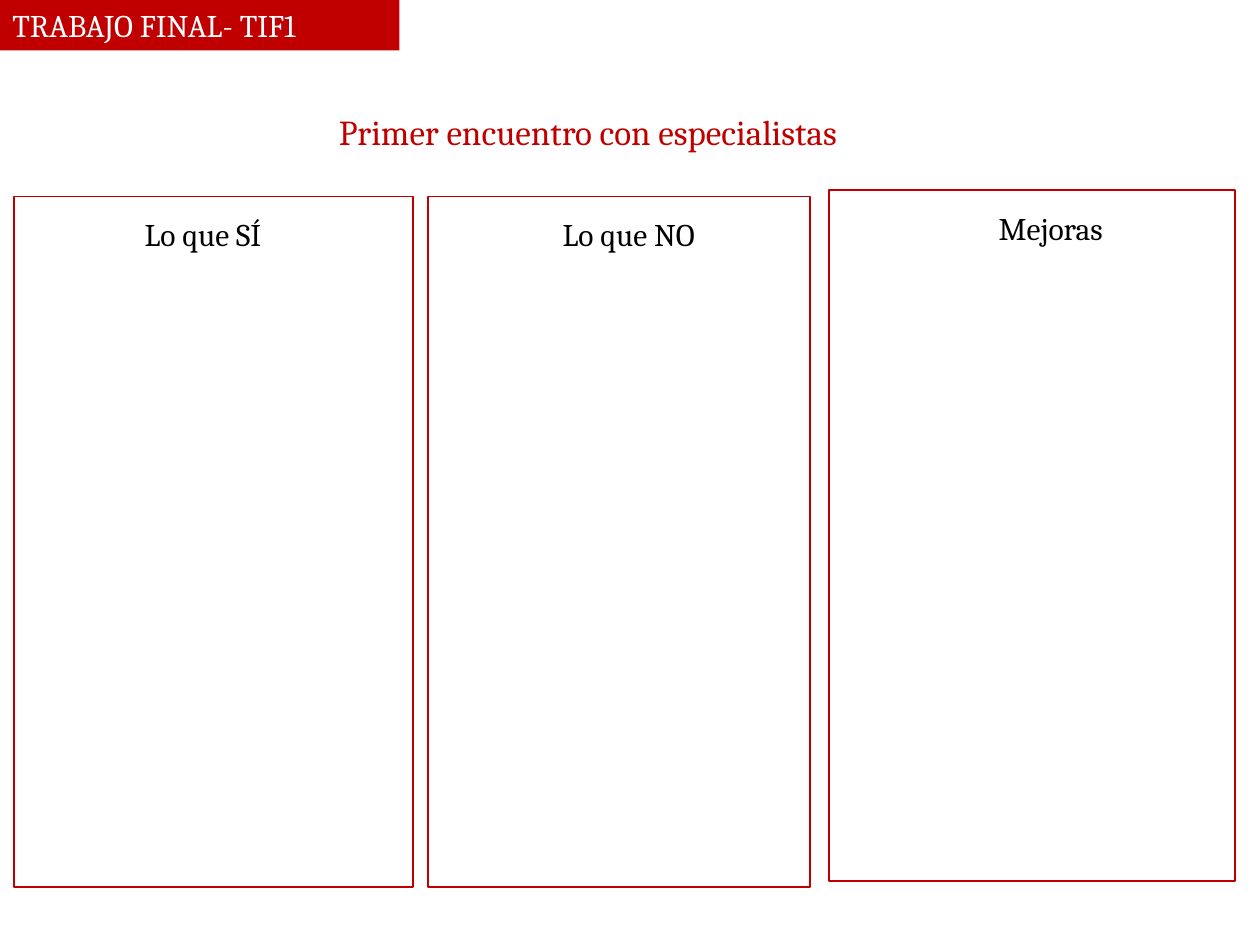
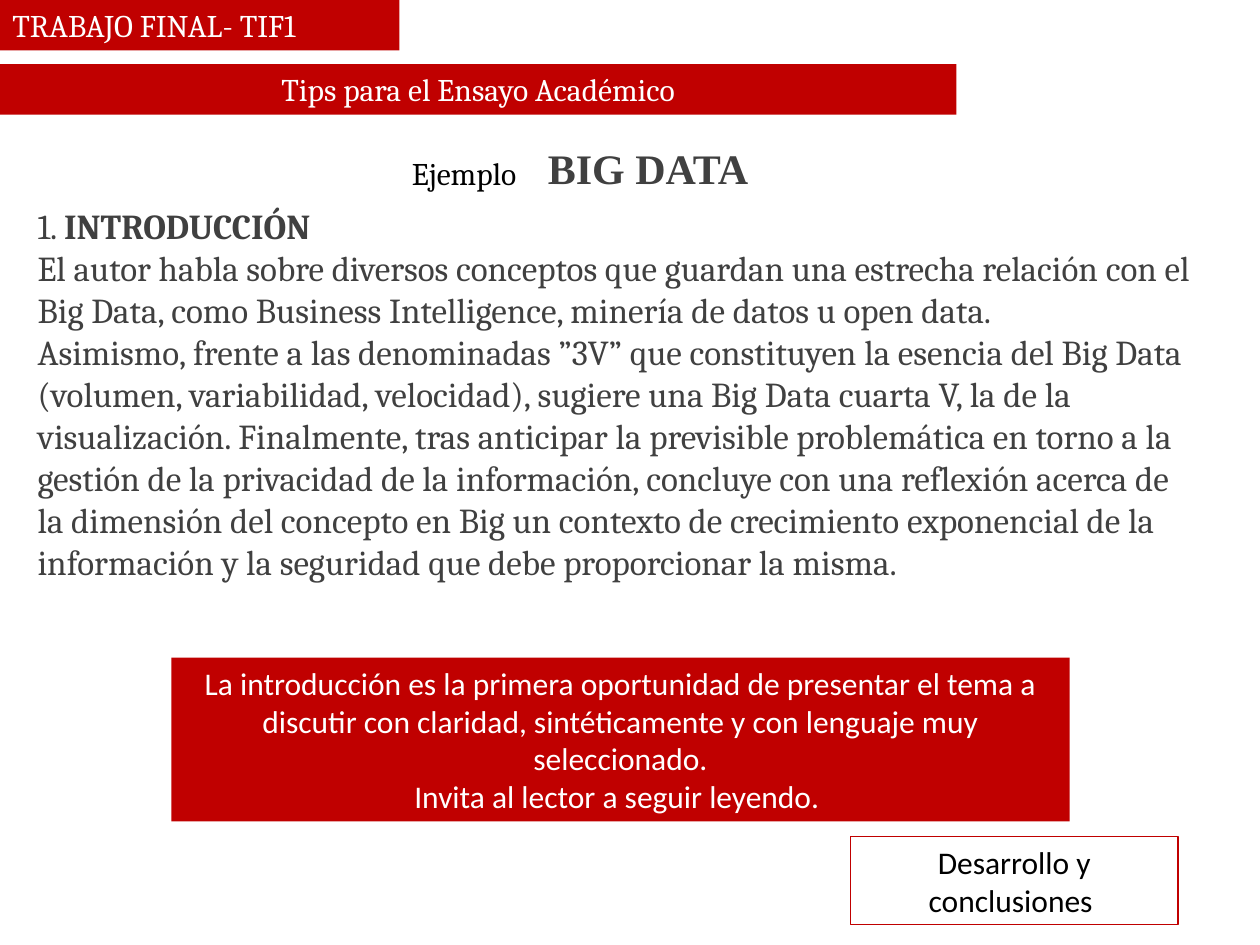
from dataclasses import dataclass

from pptx import Presentation
from pptx import util as u
from pptx.dml.color import RGBColor
from pptx.enum import shapes, text

RED = RGBColor(0xC0, 0x00, 0x00)
WHITE = RGBColor(0xFF, 0xFF, 0xFF)
BLACK = RGBColor(0x00, 0x00, 0x00)
GRAY = RGBColor(0x40, 0x40, 0x40)
SERIF, SANS, TIMES = "Cambria", "Calibri", "Times New Roman"
LEFT, CENTER = text.PP_ALIGN.LEFT, text.PP_ALIGN.CENTER
SLIDE_WIDTH, SLIDE_HEIGHT = u.Inches(10), u.Inches(7.5)
COLUMNS, ROWS = 100, 75
BAND_ROWS = 4


@dataclass
class Box:
    """A rectangle measured in grid columns and rows."""
    left: float
    top: float
    width: float
    height: float

    def inner(self, left, top, width, height):
        """Return a box whose corner is offset from this one."""
        return Box(self.left + left, self.top + top, width, height)

    def lengths(self):
        """Return left, top, width and height as slide lengths."""
        column, row = SLIDE_WIDTH / COLUMNS, SLIDE_HEIGHT / ROWS
        return (round(self.left * column), round(self.top * row),
                round(self.width * column), round(self.height * row))


PAGE = Box(0, 0, COLUMNS, ROWS)


def write(shape, paragraphs, color, font=SERIF, size=18, align=LEFT):
    """Fill a shape with paragraphs of (text, bold) runs; a newline breaks the line."""
    frame = shape.text_frame
    frame.word_wrap = True
    frame.vertical_anchor = text.MSO_ANCHOR.TOP
    for index, runs in enumerate(paragraphs):
        paragraph = frame.add_paragraph() if index else frame.paragraphs[0]
        paragraph.alignment = align
        for words, bold in runs:
            for number, line in enumerate(words.split("\n")):
                if number:
                    paragraph.add_line_break()
                if line:
                    run = paragraph.add_run()
                    run.text = line
                    run.font.name, run.font.size = font, u.Pt(size)
                    run.font.bold, run.font.color.rgb = bold, color


def add_label(slide, box, words, color=BLACK, bold=False, **style):
    """Add a text box holding one paragraph."""
    write(slide.shapes.add_textbox(*box.lengths()), [[(words, bold)]], color, **style)


def add_rectangle(slide, box, fill=None, line_width=None):
    """Add a rectangle, either filled or with a red outline."""
    shape = slide.shapes.add_shape(shapes.MSO_SHAPE.RECTANGLE, *box.lengths())
    shape.shadow.inherit = False
    if fill is None:
        shape.fill.background()
    else:
        shape.fill.solid()
        shape.fill.fore_color.rgb = fill
    if line_width is None:
        shape.line.fill.background()
    else:
        shape.line.color.rgb = RED
        shape.line.width = u.Pt(line_width)
    return shape


def add_band(slide, box, words, align=LEFT):
    """Add a red band with a white heading."""
    write(add_rectangle(slide, box, RED), [[(words, False)]], WHITE, align=align)


def add_slide(presentation):
    """Add a blank slide with the course band."""
    slide = presentation.slides.add_slide(presentation.slide_layouts[6])
    add_band(slide, PAGE.inner(0, 0, 31.7, BAND_ROWS), "TRABAJO FINAL- TIF1")
    return slide


def add_feedback_column(slide, box, heading, heading_left, heading_width):
    """Add an outlined empty column with its heading near the top."""
    add_label(slide, box.inner(heading_left, 1, heading_width, BAND_ROWS), heading,
              align=CENTER)
    add_rectangle(slide, box, line_width=1)


def build_meeting_slide(presentation, page):
    """Build the slide on the first meeting with specialists."""
    slide = add_slide(presentation)
    add_label(slide, page.inner(25.9, 8.3, 52.9, 7.7), "Primer encuentro con especialistas",
              RED, size=20)
    columns = [
        (1.1, 15.6, 31.7, "Lo que SÍ", -1.7, 33.4),
        (34, 15.6, 30.3, "Lo que NO", -0.8, 33.4),
        (65.8, 15.1, 32.2, "Mejoras", 7.8, 19.6),
    ]
    for left, top, width, *heading in columns:
        add_feedback_column(slide, page.inner(left, top, width, 54.8), *heading)


def add_example(slide, box):
    """Add the example's title line and its introduction."""
    add_label(slide, box.inner(29.7, 0.9, 31.3, BAND_ROWS), "Ejemplo")
    introduction = [
        ("1. ", False),
        ("INTRODUCCIÓN\n", True),
        ("El autor habla sobre diversos conceptos que guardan una estrecha relación con el "
         "Big Data, como Business Intelligence, minería de datos u open data.\n"
         "Asimismo, frente a las denominadas ”3V” que constituyen la esencia del Big Data "
         "(volumen, variabilidad, velocidad), sugiere una Big Data cuarta V, la de la "
         "visualización. Finalmente, tras anticipar la previsible problemática en torno a la "
         "gestión de la privacidad de la información, concluye con una reflexión acerca de "
         "la dimensión del concepto en Big un contexto de crecimiento exponencial de la "
         "información y la seguridad que debe proporcionar la misma.", False),
    ]
    body = slide.shapes.add_textbox(*box.inner(0, 4.9, box.width, 41).lengths())
    write(body, [introduction], GRAY, size=20)
    add_label(slide, box.inner(40.5, 0, 50, 8), "BIG DATA", GRAY, bold=True,
              font=TIMES, size=24)


def add_advice(slide, box):
    """Add the red advice panel and the outlined pointer to the next parts."""
    advice = [
        [("La introducción es la primera oportunidad de presentar el tema a discutir con "
          "claridad, sintéticamente y con lenguaje muy seleccionado.", False)],
        [("Invita al lector a seguir leyendo. ", False)],
    ]
    panel = add_rectangle(slide, box.inner(0, 0, 71.3, 13), RED)
    write(panel, advice, WHITE, font=SANS, align=CENTER)
    pointer = add_rectangle(slide, box.inner(53.9, 14.2, 26, 7), line_width=0.75)
    write(pointer, [[("Desarrollo y conclusiones ", False)]], BLACK, font=SANS, align=CENTER)


def build_essay_slide(presentation, page):
    """Build the slide with tips for the academic essay."""
    slide = add_slide(presentation)
    add_band(slide, page.inner(0, 5.1, 75.9, BAND_ROWS), "Tips para el Ensayo Académico",
             align=CENTER)
    add_example(slide, page.inner(2, 10.8, 94.4, 45.9))
    add_advice(slide, page.inner(13.6, 52.2, 79.9, 21.2))


def main():
    """Build and save the presentation."""
    presentation = Presentation()
    presentation.slide_width, presentation.slide_height = SLIDE_WIDTH, SLIDE_HEIGHT
    build_meeting_slide(presentation, PAGE)
    build_essay_slide(presentation, PAGE)
    presentation.save("out.pptx")


if __name__ == "__main__":
    main()
